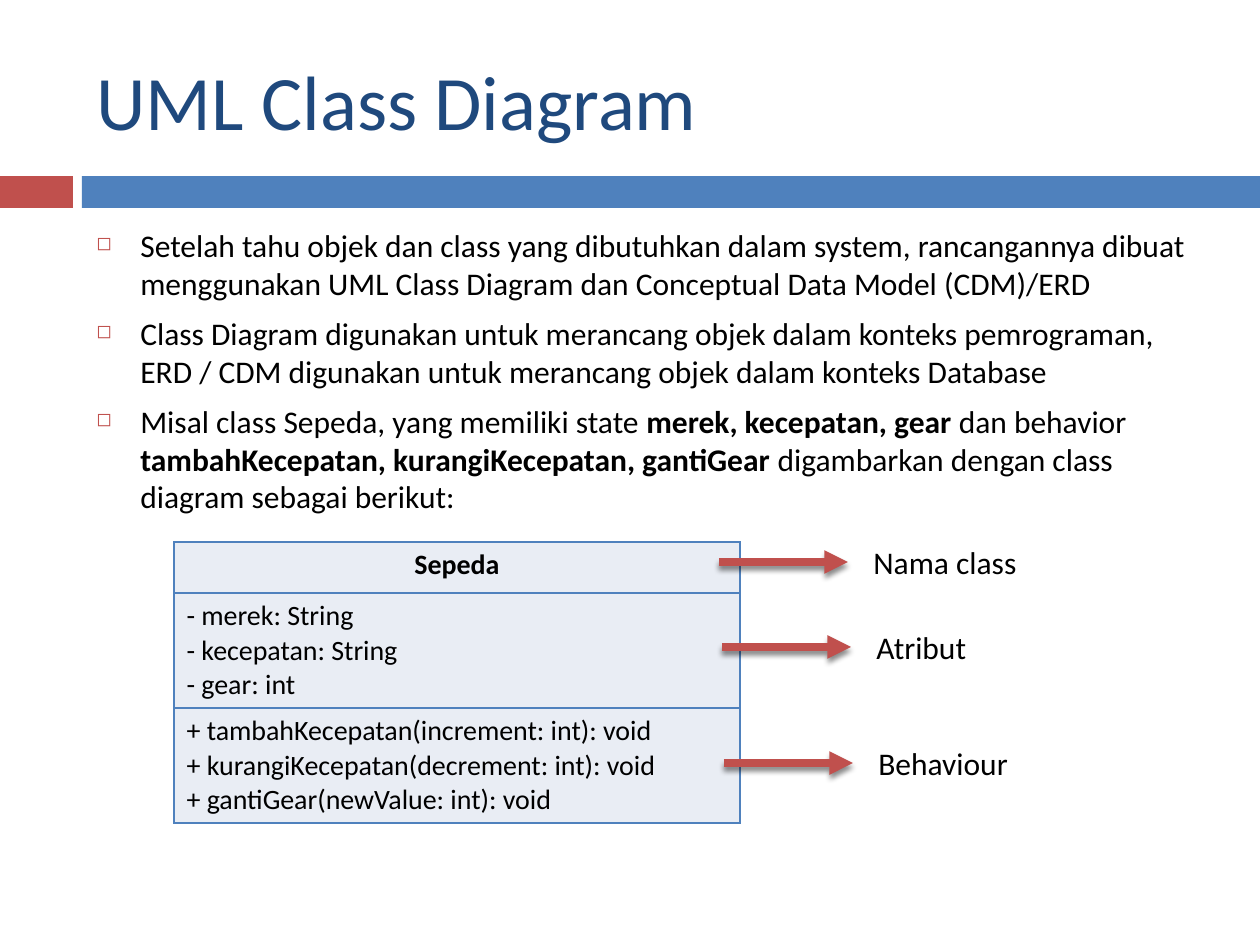
from dataclasses import dataclass

from lxml.etree import SubElement
from pptx import Presentation
from pptx.dml.color import RGBColor
from pptx.enum.shapes import MSO_CONNECTOR as Connector, MSO_SHAPE as Shape
from pptx.enum.text import MSO_ANCHOR as Anchor, PP_ALIGN as Align
from pptx.oxml.ns import qn
from pptx.util import Emu, Pt

EMU_PER_PX = 914400 / 126


@dataclass(frozen=True)
class Theme:
    font: str = "Calibri"
    title: str = "1F497D"
    text: str = "000000"
    accent: str = "C0504D"
    band: str = "4F81BD"
    cell: str = "E9EDF4"
    title_size: int = 44
    body_size: int = 18
    cell_size: int = 16


def px(*lengths):
    return [Emu(round(length * EMU_PER_PX)) for length in lengths]


def add_xml(parent, tag, **attributes):
    return SubElement(parent, qn(tag), {key: str(value) for key, value in attributes.items()})


def add_solid(parent, color):
    return add_xml(add_xml(parent, "a:solidFill"), "a:srgbClr", val=color)


class SlideBuilder:
    def __init__(self, slide, theme):
        self.slide = slide
        self.shapes = slide.shapes
        self.theme = theme

    def add_runs(self, paragraph, runs, size, color=None):
        """Add (text, bold) runs to a paragraph."""
        for text, bold in runs:
            run = paragraph.add_run()
            run.text = text
            values = {"name": self.theme.font, "size": Pt(size), "bold": bold}
            for name, value in values.items():
                setattr(run.font, name, value)
            run.font.color.rgb = RGBColor.from_string(color or self.theme.text)

    def title(self, text, box):
        title = self.shapes.title
        for name, value in zip(("left", "top", "width", "height"), px(*box)):
            setattr(title, name, value)
        title.text_frame.vertical_anchor = Anchor.MIDDLE
        paragraph = title.text_frame.paragraphs[0]
        paragraph.alignment = Align.LEFT
        self.add_runs(paragraph, [(text, False)], self.theme.title_size, self.theme.title)

    def bar(self, color, box):
        bar = self.shapes.add_shape(Shape.RECTANGLE, *px(*box))
        bar.shadow.inherit = False
        bar.fill.solid()
        bar.fill.fore_color.rgb = RGBColor.from_string(color)
        bar.line.fill.background()

    def bullets(self, items, box):
        frame = self.shapes.add_textbox(*px(*box)).text_frame
        frame.word_wrap = True
        for index, runs in enumerate(items):
            paragraph = frame.add_paragraph() if index else frame.paragraphs[0]
            paragraph.space_before = Pt(7 if index else 0)
            properties = paragraph._p.get_or_add_pPr()
            indent = px(44)[0]
            properties.set("marL", str(indent))
            properties.set("indent", str(-indent))
            add_xml(add_xml(properties, "a:buClr"), "a:srgbClr", val=self.theme.accent)
            add_xml(properties, "a:buSzPct", val=60000)
            add_xml(properties, "a:buChar", char="◻")
            self.add_runs(paragraph, runs, self.theme.body_size)

    def class_table(self, sections, heights, left, top, width):
        box = px(left, top, width, sum(heights))
        table = self.shapes.add_table(len(sections), 1, *box).table
        table.first_row = table.horz_banding = False
        for index, (lines, height) in enumerate(zip(sections, heights)):
            table.rows[index].height = px(height)[0]
            cell = table.cell(index, 0)
            header = index == 0
            for number, line in enumerate(lines):
                frame = cell.text_frame
                paragraph = frame.add_paragraph() if number else frame.paragraphs[0]
                paragraph.alignment = Align.CENTER if header else Align.LEFT
                self.add_runs(paragraph, [(line, header)], self.theme.cell_size)
            for side in "LRTB":
                border = add_xml(cell._tc.get_or_add_tcPr(), f"a:ln{side}", w=Pt(1))
                add_solid(border, self.theme.band)
            cell.fill.solid()
            cell.fill.fore_color.rgb = RGBColor.from_string(self.theme.cell)

    def arrow(self, left, y, length):
        arrow = self.shapes.add_connector(Connector.STRAIGHT, *px(left, y, left + length, y))
        arrow.line.width = Pt(4.5)
        arrow.line.color.rgb = RGBColor.from_string(self.theme.accent)
        add_xml(arrow.line._get_or_add_ln(), "a:tailEnd", type="triangle")
        effects = add_xml(arrow._element.spPr, "a:effectLst")
        shadow = add_xml(effects, "a:outerShdw", blurRad=Pt(3), dist=Pt(2.4),
                         dir=90 * 60000, rotWithShape=0)
        color = add_xml(shadow, "a:srgbClr", val="000000")
        add_xml(color, "a:alpha", val=45000)

    def label(self, text, box):
        frame = self.shapes.add_textbox(*px(*box)).text_frame
        frame.word_wrap = False
        self.add_runs(frame.paragraphs[0], [(text, False)], self.theme.body_size)


def main():
    theme = Theme()
    presentation = Presentation()
    presentation.slide_width, presentation.slide_height = px(1260, 945)
    slide = presentation.slides.add_slide(presentation.slide_layouts[5])
    builder = SlideBuilder(slide, theme)

    # Heading and divider
    builder.bar(theme.accent, (0, 176, 73, 32))
    builder.bar(theme.band, (82, 176, 1178, 32))
    builder.title("UML Class Diagram", (84, 32, 1124, 136))

    # Explanation
    builder.bullets([
        [("Setelah tahu objek dan class yang dibutuhkan dalam system, rancangannya dibuat "
          "menggunakan UML Class Diagram dan Conceptual Data Model (CDM)/ERD", False)],
        [("Class Diagram digunakan untuk merancang objek dalam konteks pemrograman, "
          "ERD / CDM digunakan untuk merancang objek dalam konteks Database", False)],
        [("Misal class Sepeda, yang memiliki state ", False),
         ("merek, kecepatan, gear", True),
         (" dan behavior ", False),
         ("tambahKecepatan, kurangiKecepatan, gantiGear ", True),
         ("digambarkan dengan class diagram sebagai berikut:", False)],
    ], (84, 220, 1124, 620))

    # Class diagram
    builder.class_table([
        ["Sepeda"],
        ["- merek: String", "- kecepatan: String", "- gear: int"],
        ["+ tambahKecepatan(increment: int): void",
         "+ kurangiKecepatan(decrement: int): void",
         "+ gantiGear(newValue: int): void"],
    ], (51, 115, 115), left=174, top=542, width=566)

    # Arrows and the labels they point to
    for text, left, y, width in (("Nama class", 719, 562, 170),
                                 ("Atribut", 722, 647, 116),
                                 ("Behaviour", 724, 763, 156)):
        builder.arrow(left, y, 129)
        builder.label(text, (left + 142, y - 25, width, 50))

    presentation.save("out.pptx")


if __name__ == "__main__":
    main()
